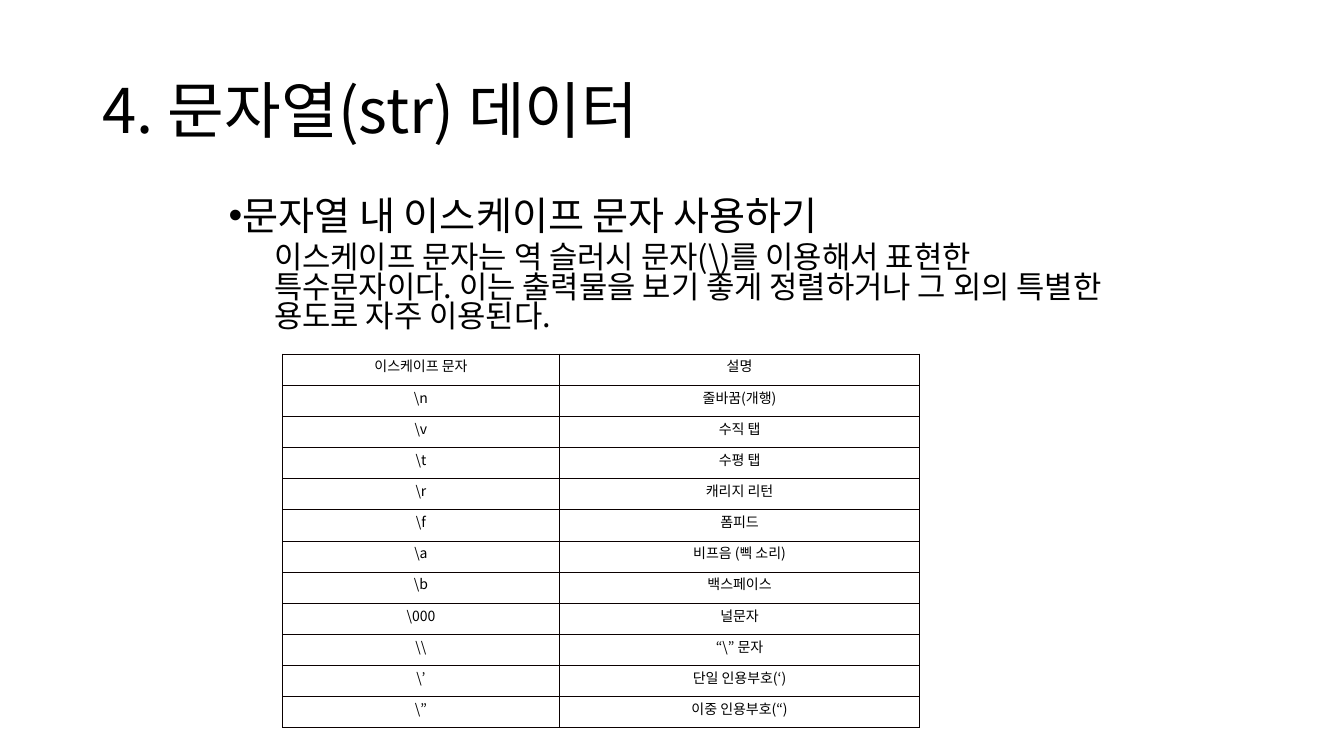
from lxml.etree import SubElement
from pptx import Presentation
from pptx.dml.color import RGBColor
from pptx.enum.text import MSO_ANCHOR as Anchor, PP_ALIGN as Align
from pptx.oxml.ns import qn
from pptx.util import Inches, Pt

BLACK = RGBColor(0, 0, 0)
WHITE = RGBColor(255, 255, 255)
BORDER = RGBColor(0x0A, 0, 0)
FONT = "Noto Sans CJK KR"


def add_run(paragraph, text, size):
    run = paragraph.add_run()
    run.text = text
    run.font.size = Pt(size)
    run.font.name = FONT
    run.font.color.rgb = BLACK
    SubElement(run.font._element, qn("a:ea"), typeface=FONT)


def add_text_frame(left, top, width, height, anchor):
    box = slide.shapes.add_textbox(Inches(left), Inches(top), Inches(width), Inches(height))
    box.text_frame.word_wrap = True
    box.text_frame.vertical_anchor = anchor
    return box.text_frame


presentation = Presentation()
presentation.slide_width = Inches(13.33)
presentation.slide_height = Inches(7.5)
slide = presentation.slides.add_slide(presentation.slide_layouts[6])

title = add_text_frame(0.92, 0.4, 11.5, 1.45, Anchor.MIDDLE).paragraphs[0]
title.line_spacing = 0.9
add_run(title, "4. 문자열(str) 데이터", 44)

body = add_text_frame(2.17, 1.94, 9, 1.57, Anchor.TOP)
heading = body.paragraphs[0]
heading.line_spacing = 0.8
add_run(heading, "문자열 내 이스케이프 문자 사용하기", 28)
heading_format = heading._p.get_or_add_pPr()
heading_format.set("marL", "0")
heading_format.set("indent", str(Inches(-0.49)))
SubElement(heading_format, qn("a:buFont"), typeface="Arial")
SubElement(heading_format, qn("a:buChar"), char="•")

explanation = body.add_paragraph()
explanation.line_spacing = 0.8
explanation.space_before = Pt(5)
explanation._p.get_or_add_pPr().set("marL", str(Inches(0.45)))
add_run(explanation, "이스케이프 문자는 역 슬러시 문자(\\)를 이용해서 표현한 특수문자이다. "
        "이는 출력물을 보기 좋게 정렬하거나 그 외의 특별한 용도로 자주 이용된다.", 22)

escapes = [
    ("이스케이프 문자", "설명"),
    ("\\n", "줄바꿈(개행)"),
    ("\\v", "수직 탭"),
    ("\\t", "수평 탭"),
    ("\\r", "캐리지 리턴"),
    ("\\f", "폼피드"),
    ("\\a", "비프음 (삑 소리)"),
    ("\\b", "백스페이스"),
    ("\\000", "널문자"),
    ("\\\\", "“\\” 문자"),
    ("\\’", "단일 인용부호(‘)"),
    ("\\”", "이중 인용부호(“)"),
]
table = slide.shapes.add_table(len(escapes), 2, Inches(2.8), Inches(3.51),
                               Inches(6.32), Inches(3.71)).table
table.columns[0].width = Inches(2.75)
table.columns[1].width = Inches(3.57)

for row, texts in enumerate(escapes):
    for column, text in enumerate(texts):
        cell = table.cell(row, column)
        cell.margin_left = cell.margin_right = Inches(0.07)
        cell.margin_top = cell.margin_bottom = Inches(0.02)
        paragraph = cell.text_frame.paragraphs[0]
        paragraph.alignment = Align.CENTER
        add_run(paragraph, text, 10)
        cell_format = cell._tc.get_or_add_tcPr()
        for side in ("a:lnL", "a:lnR", "a:lnT", "a:lnB"):
            line = SubElement(cell_format, qn(side), w=str(Pt(0.28)))
            SubElement(SubElement(line, qn("a:solidFill")), qn("a:srgbClr"), val=str(BORDER))
        cell.fill.solid()
        cell.fill.fore_color.rgb = WHITE

presentation.save("out.pptx")
